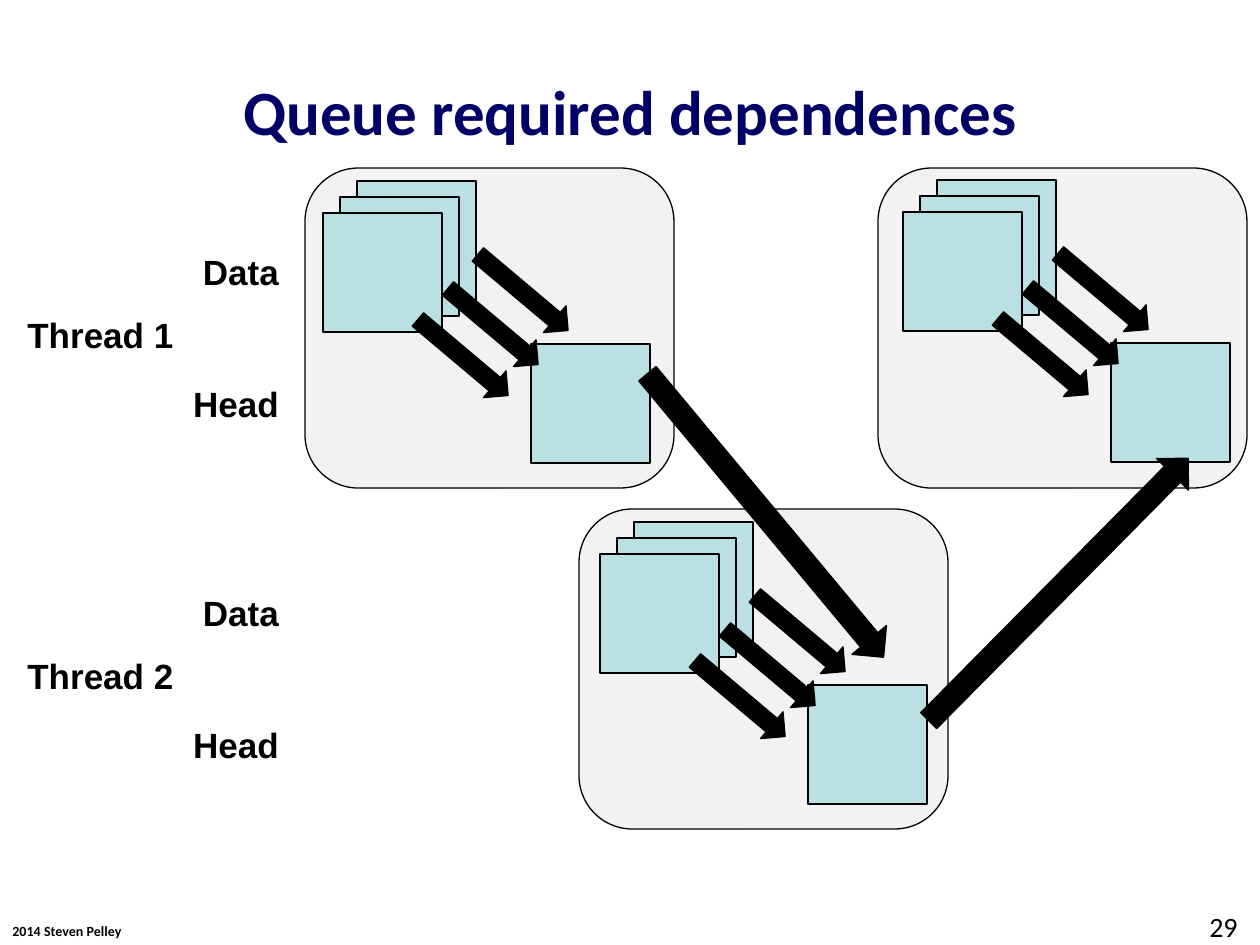
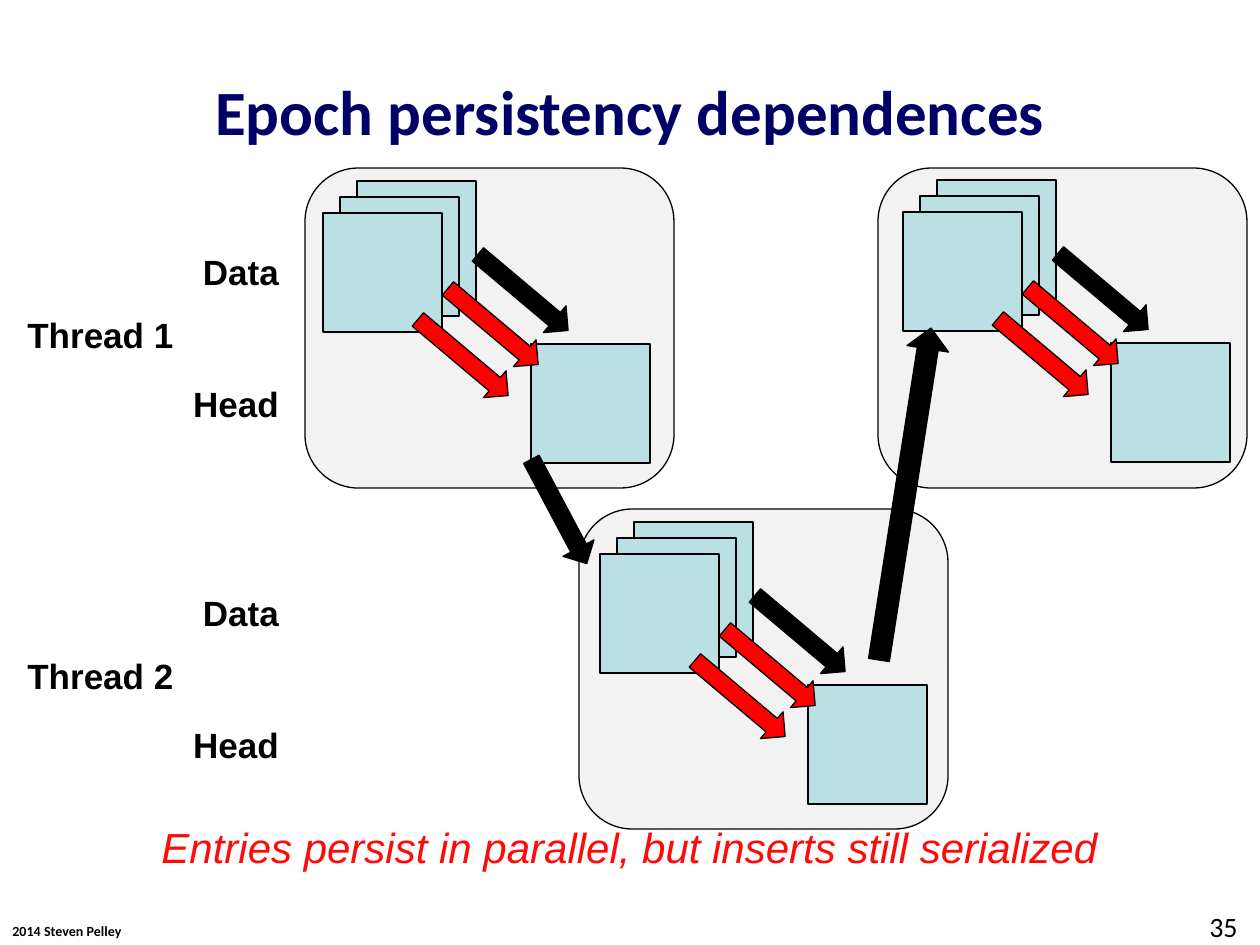
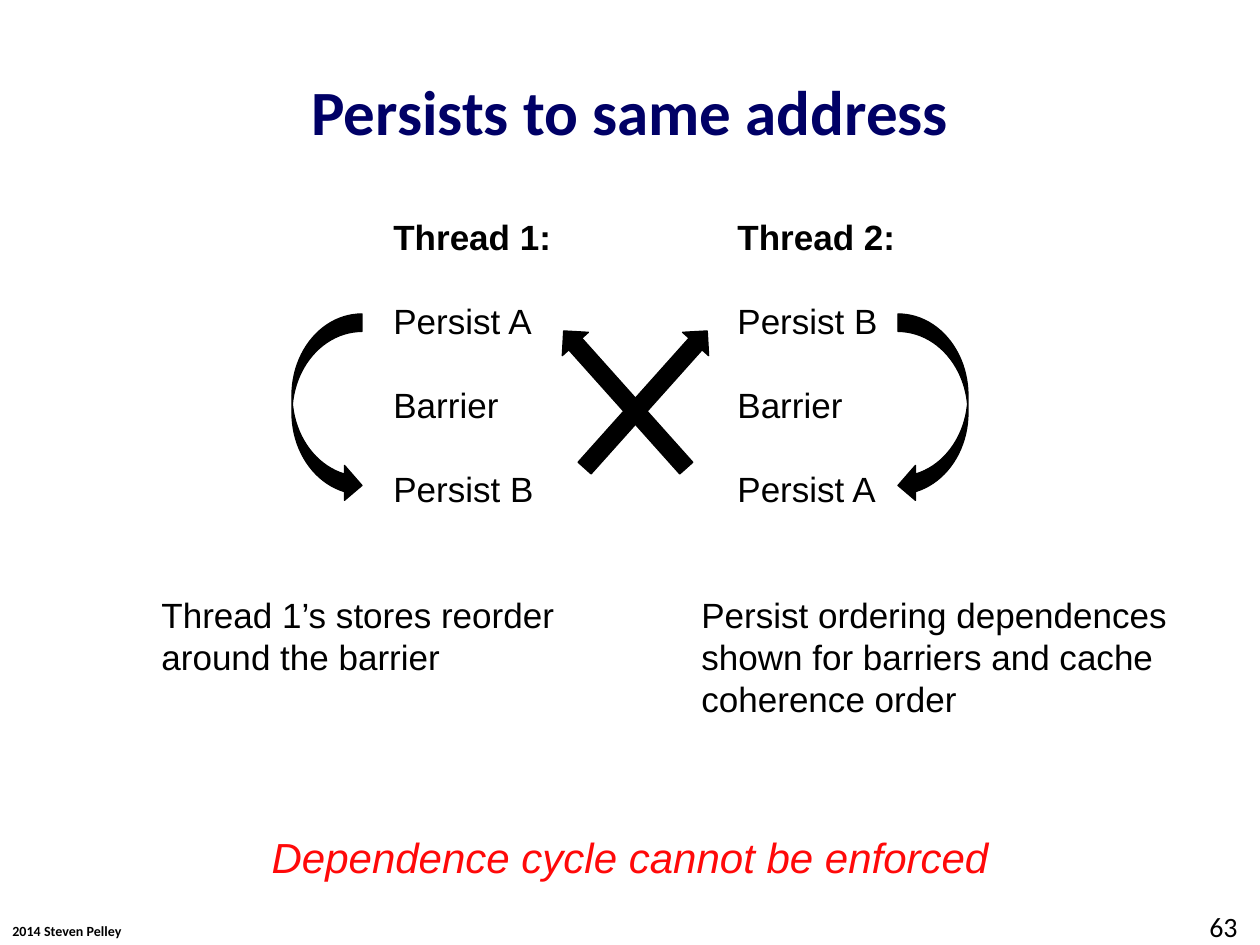
from pptx import Presentation
from pptx.dml.color import RGBColor
from pptx.enum.shapes import MSO_SHAPE
from pptx.enum.text import MSO_ANCHOR, MSO_AUTO_SIZE, PP_ALIGN
from pptx.oxml.ns import qn
from pptx.util import Emu, Pt

RECTANGLE = MSO_SHAPE.RECTANGLE
ROUNDED = MSO_SHAPE.ROUNDED_RECTANGLE
RIGHT_ARROW = MSO_SHAPE.RIGHT_ARROW
CURVED_ARROW = MSO_SHAPE.CURVED_RIGHT_ARROW
MIDDLE = MSO_ANCHOR.MIDDLE
GROW = MSO_AUTO_SIZE.SHAPE_TO_FIT_TEXT
LEFT, CENTER = PP_ALIGN.LEFT, PP_ALIGN.CENTER

SCALE = 914400 / 126
TITLE_ONLY = 5
COLORS = {
    "black": "000000",
    "navy": "000066",
    "red": "FF0000",
    "caption": "FF0909",
    "insert": "F2F2F2",
    "entry": "BBE0E3",
}
FORMATS = {
    "title": {"name": "Calibri", "size": Pt(36), "bold": True},
    "credit": {"name": "Calibri", "size": Pt(8), "bold": True},
    "number": {"name": "Calibri", "size": Pt(16), "bold": False},
    "label": {"name": "Arial", "size": Pt(20), "bold": True},
    "body": {"name": "Arial", "size": Pt(20), "bold": False},
    "caption": {"name": "Arial", "size": Pt(24), "italic": True},
}
FORMAT_COLORS = {"title": "navy", "caption": "caption"}

ENTRY_SIZE = 119
ENTRY_STEP = (17, -16)
HEAD_OFFSET = (208, 131)
DATA_ARROW_OFFSETS = [(141, 62), (111, 96), (81, 127)]
INSERTS = [((305, 168), (323, 213)), ((579, 509), (600, 554)), ((878, 168), (903, 212))]
THREADS = [("Thread 1", 0), ("Thread 2", 341)]


def px(length):
    return Emu(round(length * SCALE))


def color(name):
    return RGBColor.from_string(COLORS[name])


def format_paragraph(paragraph, style, align):
    paragraph.alignment = align
    for attribute, value in FORMATS[style].items():
        setattr(paragraph.font, attribute, value)
    paragraph.font.color.rgb = color(FORMAT_COLORS.get(style, "black"))
    if FORMATS[style]["name"] == "Arial":
        paragraph.line_spacing = Pt(FORMATS[style]["size"].pt * 1.2)


def add_text(slide, box, lines, style, align=LEFT, wrap=False, gap=0):
    frame = slide.shapes.add_textbox(*map(px, box)).text_frame
    frame.word_wrap = wrap
    frame.auto_size = GROW
    frame.text = "\n".join(lines)
    for index, paragraph in enumerate(frame.paragraphs):
        format_paragraph(paragraph, style, align)
        if index:
            paragraph.space_before = Pt(gap)
    return frame


def add_block(slide, kind, box, fill, rotation=0):
    shape = slide.shapes.add_shape(kind, *map(px, box))
    shape.shadow.inherit = False
    shape.fill.solid()
    shape.fill.fore_color.rgb = color(fill)
    shape.line.color.rgb = color("black")
    shape.line.width = Pt(0.75)
    shape.rotation = rotation
    return shape


def add_arrow(slide, box, rotation, fill="black"):
    add_block(slide, RIGHT_ARROW, box, fill, rotation)


def add_slide(presentation, title, number):
    slide = presentation.slides.add_slide(presentation.slide_layouts[TITLE_ONLY])
    shape = slide.shapes.title
    shape.left, shape.top, shape.width, shape.height = map(px, (63, 63, 1134, 95))
    shape.text_frame.text = title
    shape.text_frame.vertical_anchor = MIDDLE
    format_paragraph(shape.text_frame.paragraphs[0], "title", CENTER)
    add_text(slide, (0, 916, 135, 30), ["2014 Steven Pelley"], "credit")
    add_text(slide, (1197, 903, 63, 42), [number], "number", wrap=True)
    return slide


def add_entries(slide, left, top, arrow_fills):
    for depth in (2, 1, 0):
        x, y = left + depth * ENTRY_STEP[0], top + depth * ENTRY_STEP[1]
        add_block(slide, RECTANGLE, (x, y, ENTRY_SIZE, ENTRY_SIZE), "entry")
    head = (left + HEAD_OFFSET[0], top + HEAD_OFFSET[1], ENTRY_SIZE, ENTRY_SIZE)
    add_block(slide, RECTANGLE, head, "entry")
    for (dx, dy), fill in zip(DATA_ARROW_OFFSETS, arrow_fills):
        add_arrow(slide, (left + dx, top + dy, 118, 35), 40.1, fill)


def add_queue(slide, arrow_fills):
    for corner, _ in INSERTS:
        add_block(slide, ROUNDED, (*corner, 369, 320), "insert")
    for _, entry in INSERTS:
        add_entries(slide, *entry, arrow_fills)
    for thread, shift in THREADS:
        add_text(slide, (14, 307 + shift, 173, 55), [thread], "label", CENTER)
        add_text(slide, (190, 244 + shift, 102, 55), ["Data"], "label", CENTER)
        add_text(slide, (180, 376 + shift, 112, 55), ["Head"], "label", CENTER)


def add_thread_steps(slide, left, thread, steps):
    frame = add_text(slide, (left, 209, 184, 310), [thread, *steps], "body", gap=24)
    frame.paragraphs[0].font.bold = True


def add_order_arrow(slide, left, mirrored):
    shape = add_block(slide, CURVED_ARROW, (left, 314, 70, 189), "black")
    if mirrored:
        shape.element.spPr.find(qn("a:xfrm")).set("flipH", "1")


def build_required(presentation):
    slide = add_slide(presentation, "Queue required dependences", "29")
    add_queue(slide, ["black"] * 3)
    add_arrow(slide, (581, 493, 369, 45), 50.2)
    add_arrow(slide, (874, 567, 369, 45), 314.7)


def build_epoch(presentation):
    slide = add_slide(presentation, "Epoch persistency dependences", "35")
    add_queue(slide, ["black", "red", "red"])
    add_arrow(slide, (500, 494, 118, 35), 62)
    add_arrow(slide, (737, 473, 336, 42), 278.9)
    add_text(slide, (144, 815, 971, 63),
             ["Entries persist in parallel, but inserts still serialized"], "caption", CENTER)


def build_same_address(presentation):
    slide = add_slide(presentation, "Persists to same address", "63")
    add_text(slide, (149, 587, 432, 97),
             ["Thread 1’s stores reorder around the barrier"], "body", wrap=True)
    add_text(slide, (689, 587, 571, 140),
             ["Persist ordering dependences shown for barriers and cache coherence order"],
             "body", wrap=True)
    add_text(slide, (255, 825, 750, 63),
             ["Dependence cycle cannot be enforced"], "caption", CENTER)
    add_thread_steps(slide, 381, "Thread 1:", ["Persist A", "Barrier", "Persist B"])
    add_thread_steps(slide, 725, "Thread 2:", ["Persist B", "Barrier", "Persist A"])
    add_order_arrow(slide, 292, False)
    add_order_arrow(slide, 898, True)
    add_arrow(slide, (533, 382, 184, 35), 228.2)
    add_arrow(slide, (554, 382, 184, 35), 311.8)


def main():
    presentation = Presentation()
    presentation.slide_width, presentation.slide_height = px(1260), px(945)
    build_required(presentation)
    build_epoch(presentation)
    build_same_address(presentation)
    presentation.save("out.pptx")


if __name__ == "__main__":
    main()
